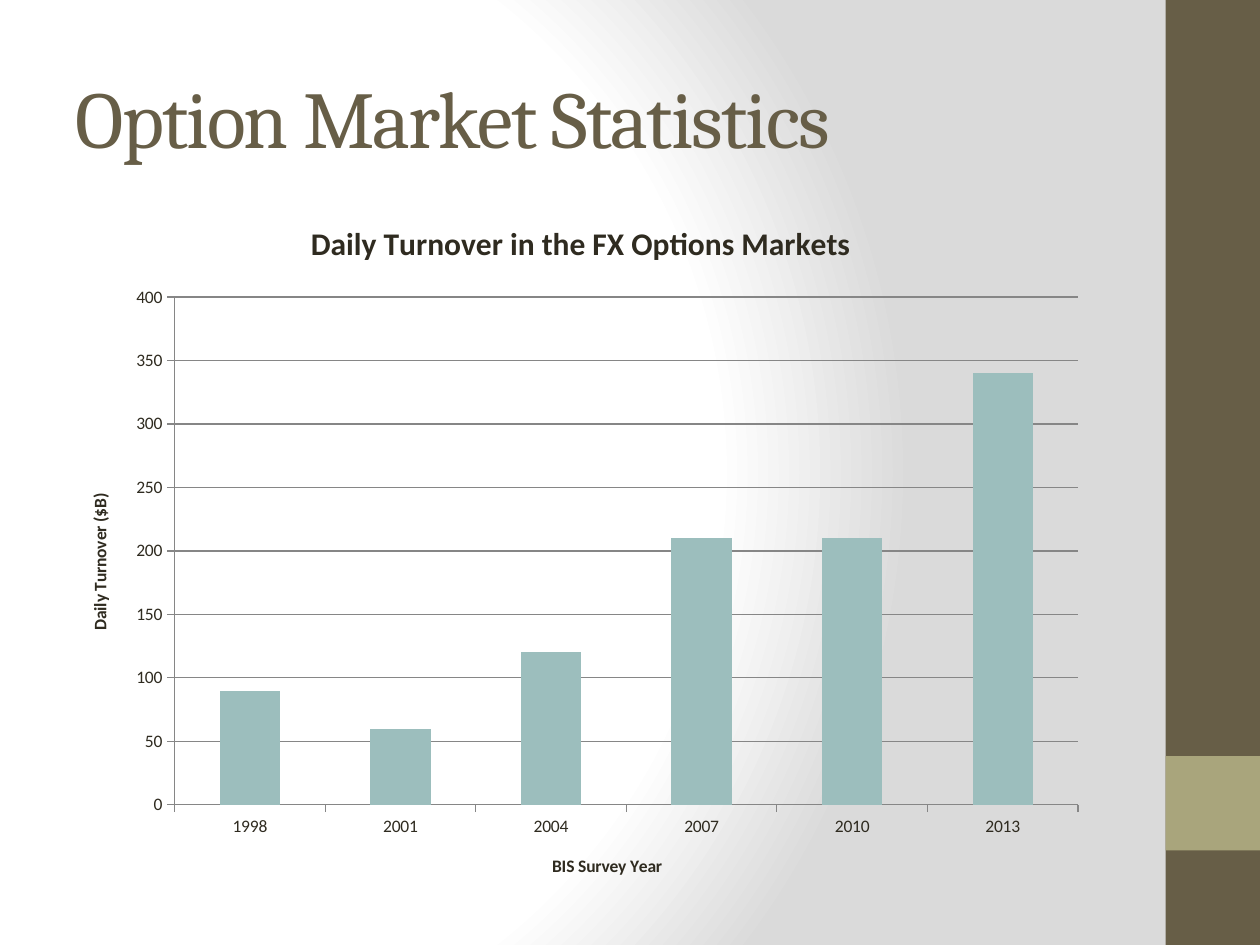
from pptx import Presentation
from pptx.chart.data import CategoryChartData
from pptx.dml.color import RGBColor
from pptx.enum.chart import XL_CHART_TYPE, XL_TICK_MARK
from pptx.enum.shapes import MSO_SHAPE
from pptx.enum.text import MSO_ANCHOR, PP_ALIGN
from pptx.oxml import parse_xml
from pptx.oxml.ns import nsdecls
from pptx.util import Inches, Pt

OLIVE = "675E47"
KHAKI = "A9A57C"
TEAL = "9CBEBD"
INK = "2F2B20"
AXIS_GRAY = "868686"


def color(hex_string):
    return RGBColor.from_string(hex_string)


class SlideBuilder:
    heading_font = "Cambria"
    body_font = "Calibri"

    def __init__(self, slide):
        self.slide = slide

    def background(self, stops):
        stop_xml = "".join(
            f'<a:gs pos="{percent * 1000}"><a:srgbClr val="{shade}"/></a:gs>'
            for percent, shade in stops
        )
        gradient = parse_xml(
            f'<p:bg {nsdecls("p", "a")}><p:bgPr><a:gradFill rotWithShape="1">'
            f"<a:gsLst>{stop_xml}</a:gsLst>"
            '<a:path path="circle">'
            '<a:fillToRect l="20000" t="50000" r="100000" b="50000"/>'
            "</a:path></a:gradFill><a:effectLst/></p:bgPr></p:bg>"
        )
        self.slide.element.cSld.insert(0, gradient)

    def block(self, left, top, width, height, fill):
        block = self.slide.shapes.add_shape(
            MSO_SHAPE.RECTANGLE, *map(Inches, (left, top, width, height))
        )
        block.shadow.inherit = False
        block.fill.solid()
        block.fill.fore_color.rgb = color(fill)
        block.line.fill.background()

    def title(self, text, left, top, width, height):
        title = self.slide.shapes.title
        title.left, title.top = Inches(left), Inches(top)
        title.width, title.height = Inches(width), Inches(height)
        frame = title.text_frame
        frame.text = text
        frame.vertical_anchor = MSO_ANCHOR.MIDDLE
        heading = frame.paragraphs[0]
        heading.alignment = PP_ALIGN.LEFT
        self.style(heading.font, 46, OLIVE, self.heading_font, False)
        heading.runs[0].font._element.set("spc", "-100")

    def style(self, font, size, shade, name, bold):
        font.size = Pt(size)
        font.color.rgb = color(shade)
        font.name = name
        font.bold = bold

    def caption(self, owner, text, size):
        frame = owner.text_frame
        frame.text = text
        self.style(frame.paragraphs[0].font, size, INK, self.body_font, True)

    def axis(self, axis, text):
        self.caption(axis.axis_title, text, 10)
        axis.major_tick_mark = XL_TICK_MARK.OUTSIDE
        axis.minor_tick_mark = XL_TICK_MARK.NONE
        self.rule(axis.format.line)

    def rule(self, line):
        line.color.rgb = color(AXIS_GRAY)
        line.width = Pt(0.75)

    def column_chart(self, left, top, width, height, heading, axis_names, turnover):
        data = CategoryChartData()
        data.categories = list(turnover)
        data.add_series("Series 1", list(turnover.values()))
        chart = self.slide.shapes.add_chart(
            XL_CHART_TYPE.COLUMN_STACKED,
            *map(Inches, (left, top, width, height)),
            data,
        ).chart
        self.style(chart.font, 10, INK, self.body_font, False)
        chart.has_legend = False
        self.caption(chart.chart_title, heading, 18)
        chart.chart_title.include_in_layout = False
        self.axis(chart.category_axis, axis_names[0])
        self.axis(chart.value_axis, axis_names[1])
        chart.value_axis.minimum_scale = 0
        chart.value_axis.maximum_scale = 400
        chart.value_axis.major_unit = 50
        chart.value_axis.has_major_gridlines = True
        self.rule(chart.value_axis.major_gridlines.format.line)
        plot = chart.plots[0]
        plot.gap_width = 150
        plot.overlap = 100
        plot.vary_by_categories = False
        bars = plot.series[0].format.fill
        bars.solid()
        bars.fore_color.rgb = color(TEAL)


def main():
    presentation = Presentation()
    presentation.slide_width = Inches(10)
    presentation.slide_height = Inches(7.5)
    builder = SlideBuilder(
        presentation.slides.add_slide(presentation.slide_layouts[5])
    )
    builder.background([(0, "FFFFFF"), (75, "FFFFFF"), (100, "DADADA")])
    builder.block(9.25, 0, 0.75, 7.5, OLIVE)
    builder.block(9.25, 6, 0.75, 0.75, KHAKI)
    builder.title("Option Market Statistics", 0.5, 0.3, 8.33, 1.25)
    builder.column_chart(
        0.5, 1.55, 8.22, 5.61,
        "Daily Turnover in the FX Options Markets",
        ("BIS Survey Year", "Daily Turnover ($B)"),
        {"1998": 90, "2001": 60, "2004": 120, "2007": 210, "2010": 210, "2013": 340},
    )
    presentation.save("out.pptx")


if __name__ == "__main__":
    main()
